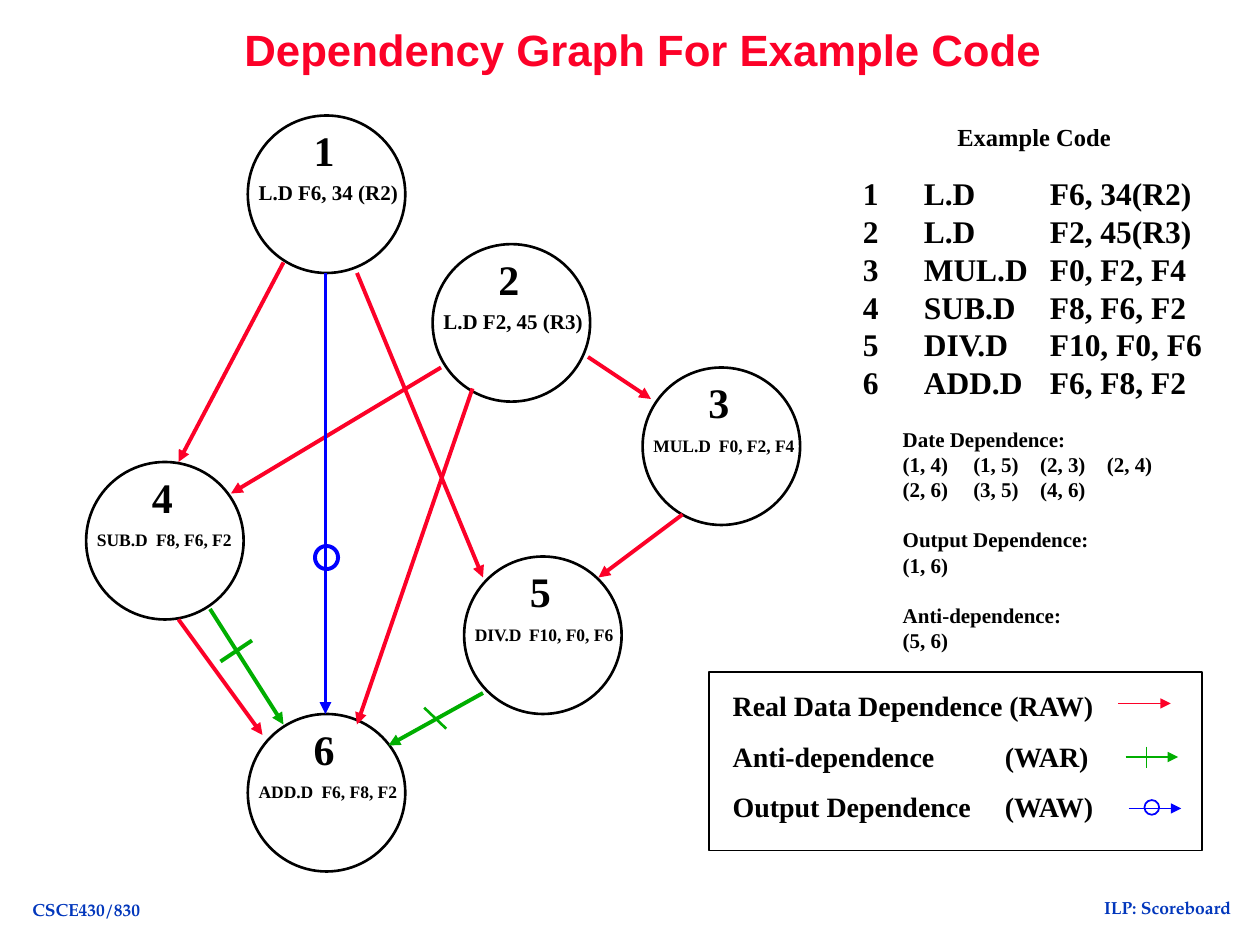
from lxml import etree
from pptx import Presentation
from pptx.dml.color import RGBColor
from pptx.enum.shapes import MSO_CONNECTOR, MSO_SHAPE
from pptx.enum.text import MSO_ANCHOR, PP_ALIGN
from pptx.oxml.ns import qn
from pptx.util import Inches, Pt

LINE = MSO_CONNECTOR.STRAIGHT
CIRCLE, BOX = MSO_SHAPE.OVAL, MSO_SHAPE.RECTANGLE
LEFT, CENTER = PP_ALIGN.LEFT, PP_ALIGN.CENTER
TOP, MIDDLE = MSO_ANCHOR.TOP, MSO_ANCHOR.MIDDLE

COLORS = {"title": "FC0128", "ink": "000000", "footer": "0237BC",
          "raw": "FC0128", "war": "00AE00", "waw": "0000FF"}
TITLE = {"name": "Arial", "size": Pt(25), "bold": True}
FOOTER = {"name": "TeX Gyre Pagella", "size": Pt(10), "bold": True}

NODE_SIZE = 15
# number, column, row, instruction, label size, operand tab stops in inches
NODES = [
    (1, 23.6, 11, "L.D F6, 34 (R2)", 12, []),
    (2, 41.2, 23.25, "L.D F2, 45 (R3)", 12, []),
    (3, 61.2, 35, "MUL.D\tF0, F2, F4", 10, [0.52]),
    (4, 8.2, 44, "SUB.D\tF8, F6, F2", 10, [0.47]),
    (5, 44.2, 53, "DIV.D\tF10, F0, F6", 10, [0.43]),
    (6, 23.6, 68, "ADD.D\tF6, F8, F2", 10, [0.5]),
]
# kind, start column and row, end column and row
DEPENDENCES = [
    ("raw", 27, 25, 17, 44), ("raw", 34, 26, 46, 55),
    ("raw", 56, 34, 62, 38), ("raw", 42, 35, 22, 47),
    ("raw", 45, 37, 34, 69), ("raw", 65, 49, 57, 55),
    ("raw", 17, 59, 25, 70),
    ("war", 20, 58, 27, 69), ("war", 46, 66, 37, 71),
    ("waw", 31, 26, 31, 68),
]
CODE = ["L.D\tF6, 34(R2)", "L.D\tF2, 45(R3)", "MUL.D\tF0, F2, F4",
        "SUB.D\tF8, F6, F2", "DIV.D\tF10, F0, F6", "ADD.D\tF6, F8, F2"]
DEPENDENCE_LIST = ["Date Dependence:", "(1, 4)\t(1, 5)\t(2, 3)\t(2, 4)",
                   "(2, 6)\t(3, 5)\t(4, 6)", "Output Dependence:", "(1, 6)",
                   "Anti-dependence:", "(5, 6)"]
LEGEND = ["Real Data Dependence (RAW)", "Anti-dependence\t(WAR)",
          "Output Dependence\t(WAW)"]


def cells(*counts):
    """Turn counts of grid cells, twelve to the inch, into lengths."""
    return [Inches(count / 12) for count in counts]


def color(key):
    return RGBColor.from_string(COLORS[key])


def serif(size):
    return {"name": "Times New Roman", "size": Pt(size), "bold": True}


def set_tabs(paragraph, stops):
    tab_list = etree.SubElement(paragraph._p.get_or_add_pPr(), qn("a:tabLst"))
    for stop in stops:
        etree.SubElement(tab_list, qn("a:tab"), pos=str(Inches(stop)), algn="l")


def add_text(slide, area, lines, font, ink="ink", align=LEFT, anchor=TOP,
             leading=None, tabs=(), gaps=None):
    """Write one paragraph per line; gaps maps a line index to space before."""
    frame = slide.shapes.add_textbox(*cells(*area)).text_frame
    frame.word_wrap = True
    frame.vertical_anchor = anchor
    for index, line in enumerate(lines):
        paragraph = frame.paragraphs[0] if index == 0 else frame.add_paragraph()
        if tabs:
            set_tabs(paragraph, tabs)
        paragraph.alignment = align
        paragraph.line_spacing = leading or Pt(font["size"].pt * 1.2)
        if gaps and index in gaps:
            paragraph.space_before = Pt(gaps[index])
        run = paragraph.add_run()
        run.text = line
        for attribute, value in font.items():
            setattr(run.font, attribute, value)
        run.font.color.rgb = color(ink)


def add_outline(slide, preset, area, ink, weight):
    outline = slide.shapes.add_shape(preset, *cells(*area))
    outline.shadow.inherit = False
    outline.fill.background()
    outline.line.color.rgb = color(ink)
    outline.line.width = Pt(weight)


def add_line(slide, ends, ink, weight, arrow=False):
    connector = slide.shapes.add_connector(LINE, *cells(*ends))
    connector.line.color.rgb = color(ink)
    connector.line.width = Pt(weight)
    if arrow:
        etree.SubElement(connector.line._get_or_add_ln(), qn("a:tailEnd"),
                         type="triangle")
    etree.SubElement(connector._element.spPr, qn("a:effectLst"))


def add_node(slide, number, column, row, instruction, size, tabs):
    add_outline(slide, CIRCLE, (column, row, NODE_SIZE, NODE_SIZE), "ink", 1.5)
    label_row = row + (5.5 if size == 12 else 5.8)
    add_text(slide, (column - 0.15, label_row, 18, 4), [instruction],
             serif(size), tabs=tabs)
    add_text(slide, (column + 5.1, row + 0.3, 5, 6), [str(number)], serif(24))


def add_graph(slide):
    for node in NODES:
        add_node(slide, *node)
    for kind, *ends in DEPENDENCES:
        add_line(slide, ends, kind, 2.25, arrow=True)
    add_line(slide, (24, 61, 21, 63), "war", 2.25)
    add_line(slide, (40.4, 67.4, 42.5, 69.4), "war", 1.5)
    add_outline(slide, CIRCLE, (30, 52, 2.2, 2.2), "waw", 2.25)


def add_code_listing(slide):
    add_text(slide, (90, 11, 18, 4), ["Example Code"], serif(14))
    numbers = [str(number) for number in range(1, len(CODE) + 1)]
    add_text(slide, (81, 16, 4, 23), numbers, serif(18))
    add_text(slide, (86.8, 16, 32, 23), CODE, serif(18), tabs=[1])
    add_text(slide, (84.8, 40, 30, 23), DEPENDENCE_LIST, serif(12),
             tabs=[0.56, 1.09, 1.62], gaps={3: 14.4, 5: 14.4})


def add_legend(slide):
    add_outline(slide, BOX, (67.5, 64, 47, 17), "ink", 1)
    add_text(slide, (68.6, 65, 38, 14), LEGEND, serif(16), tabs=[2.16],
             gaps={1: 9.6, 2: 9.6})
    samples = [("raw", 106.5, 67), ("war", 107.2, 72.1), ("waw", 107.5, 77)]
    for kind, column, row in samples:
        add_line(slide, (column, row, column + 5, row), kind, 1, arrow=True)
    add_line(slide, (109.2, 71.1, 109.2, 73.1), "war", 1)
    add_outline(slide, CIRCLE, (109, 76.2, 1.4, 1.4), "waw", 1)


def main():
    deck = Presentation()
    deck.slide_width, deck.slide_height = cells(120, 90)
    slide = deck.slides.add_slide(deck.slide_layouts[6])
    add_text(slide, (22.1, 3, 94, 4), ["Dependency Graph For Example Code"],
             TITLE, "title", anchor=MIDDLE, leading=0.9)
    add_graph(slide)
    add_code_listing(slide)
    add_legend(slide)
    footers = [("CSCE430/830", 0.7, 85, 15), ("ILP: Scoreboard", 102.7, 84.8, 17)]
    for footer, column, row, width in footers:
        add_text(slide, (column, row, width, 3.1), [footer], FOOTER, "footer",
                 CENTER, leading=1.0)
    deck.save("out.pptx")


if __name__ == "__main__":
    main()
